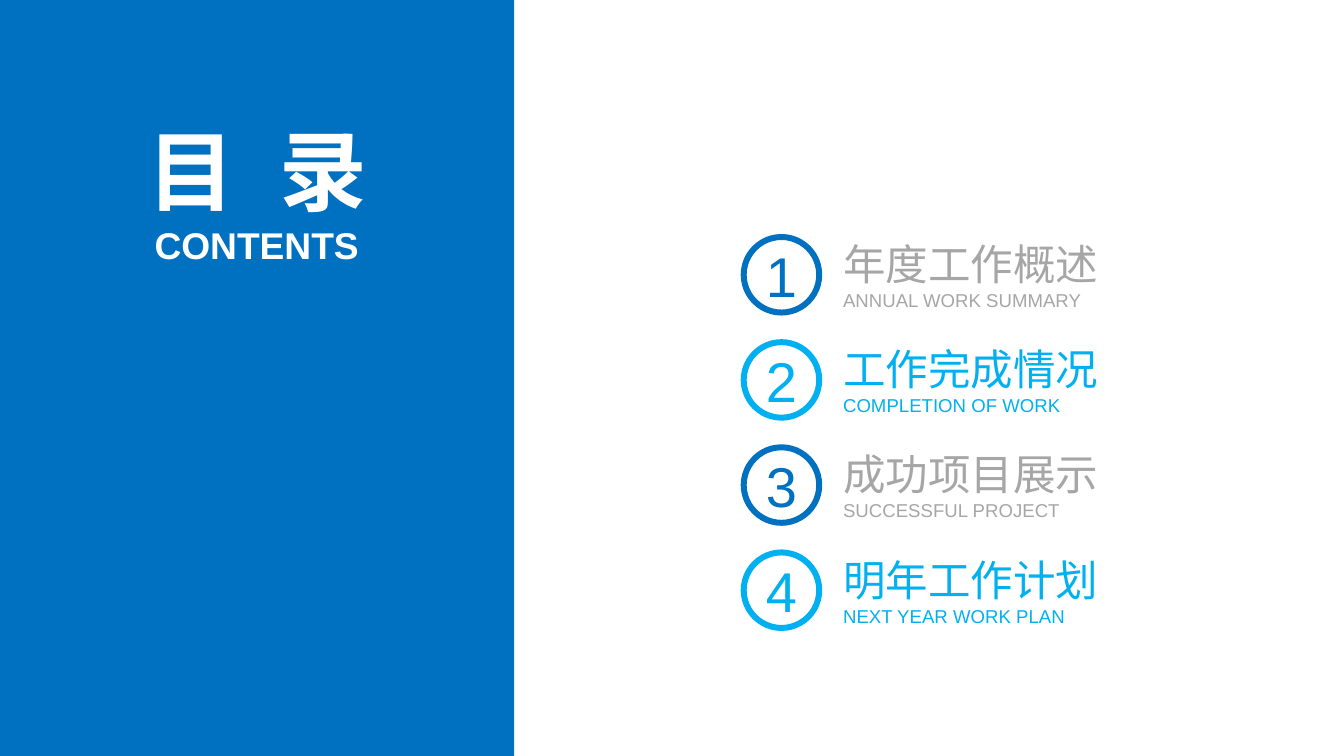
from pptx import Presentation
from pptx.dml.color import RGBColor
from pptx.enum import shapes, text
from pptx.util import Pt

COLORS = {"blue": "0070C0", "sky": "00B0F0", "grey": "A6A6A6", "white": "FFFFFF"}


def color(name):
    return RGBColor.from_string(COLORS[name])


def write(box, lines, shade, align, anchor, bold=False):
    frame = box.text_frame
    frame_format = {
        "margin_left": 0, "margin_top": 0, "margin_right": 0, "margin_bottom": 0,
        "word_wrap": True, "vertical_anchor": anchor,
    }
    for name, value in frame_format.items():
        setattr(frame, name, value)
    for index, (words, size) in enumerate(lines):
        para = frame.add_paragraph() if index else frame.paragraphs[0]
        para.alignment = align
        for part in words:
            span = para.add_run()
            span.text = part
            font_format = {"name": "Arial", "size": Pt(size), "bold": bold}
            for name, value in font_format.items():
                setattr(span.font, name, value)
            span.font.color.rgb = color(shade)


LEFT, CENTER = text.PP_ALIGN.LEFT, text.PP_ALIGN.CENTER
TOP, MIDDLE = text.MSO_ANCHOR.TOP, text.MSO_ANCHOR.MIDDLE

deck = Presentation()
deck.slide_width, deck.slide_height = Pt(1012.32), Pt(569.52)
page = deck.slides.add_slide(deck.slide_layouts[5])

panel = page.shapes.add_shape(shapes.MSO_SHAPE.RECTANGLE, 0, 0, Pt(387.36), deck.slide_height)
panel.shadow.inherit = False
panel.fill.solid()
panel.fill.fore_color.rgb = color("blue")
panel.line.fill.background()

title = page.shapes.title
panel.element.getparent().insert(2, panel.element)
title_place = {"left": 97.92, "top": 87.84, "width": 191.52, "height": 79.92}
for name, value in title_place.items():
    setattr(title, name, Pt(value))
write(title, [(["目", " ", "录"], 66)], "white", CENTER, MIDDLE, bold=True)
title.text_frame.auto_size = text.MSO_AUTO_SIZE.NONE
gap = title.text_frame.paragraphs[0].runs[1]
gap.font._element.set("spc", "1830")

subtitle = page.shapes.add_textbox(Pt(98.64), Pt(167.76), Pt(189.36), Pt(33.84))
write(subtitle, [(["CONTENTS"], 28)], "white", CENTER, TOP, bold=True)

chapters = [
    ("年度工作概述", "ANNUAL WORK SUMMARY"),
    ("工作完成情况", "COMPLETION OF WORK"),
    ("成功项目展示", "SUCCESSFUL PROJECT"),
    ("明年工作计划", "NEXT YEAR WORK PLAN"),
]
palette = [("blue", "grey"), ("sky", "sky")]
first_top, pitch, diameter, label_height = 178.56, 79.2, 56.88, 55.44

for index, (heading, caption) in enumerate(chapters):
    ring_color, label_color = palette[index % 2]
    top = first_top + index * pitch

    ring = page.shapes.add_shape(
        shapes.MSO_SHAPE.OVAL, Pt(560.16), Pt(top), Pt(diameter), Pt(diameter))
    ring.shadow.inherit = False
    ring.fill.solid()
    ring.fill.fore_color.rgb = color("white")
    ring.line.color.rgb = color(ring_color)
    ring.line.width = Pt(4.5)
    write(ring, [([str(index + 1)], 42.2)], ring_color, CENTER, MIDDLE)

    label_top = top + (diameter - label_height) / 2
    label = page.shapes.add_textbox(Pt(635.04), Pt(label_top), Pt(213.12), Pt(label_height))
    write(label, [([heading], 32), ([caption], 14)], label_color, LEFT, MIDDLE)

deck.save("out.pptx")
